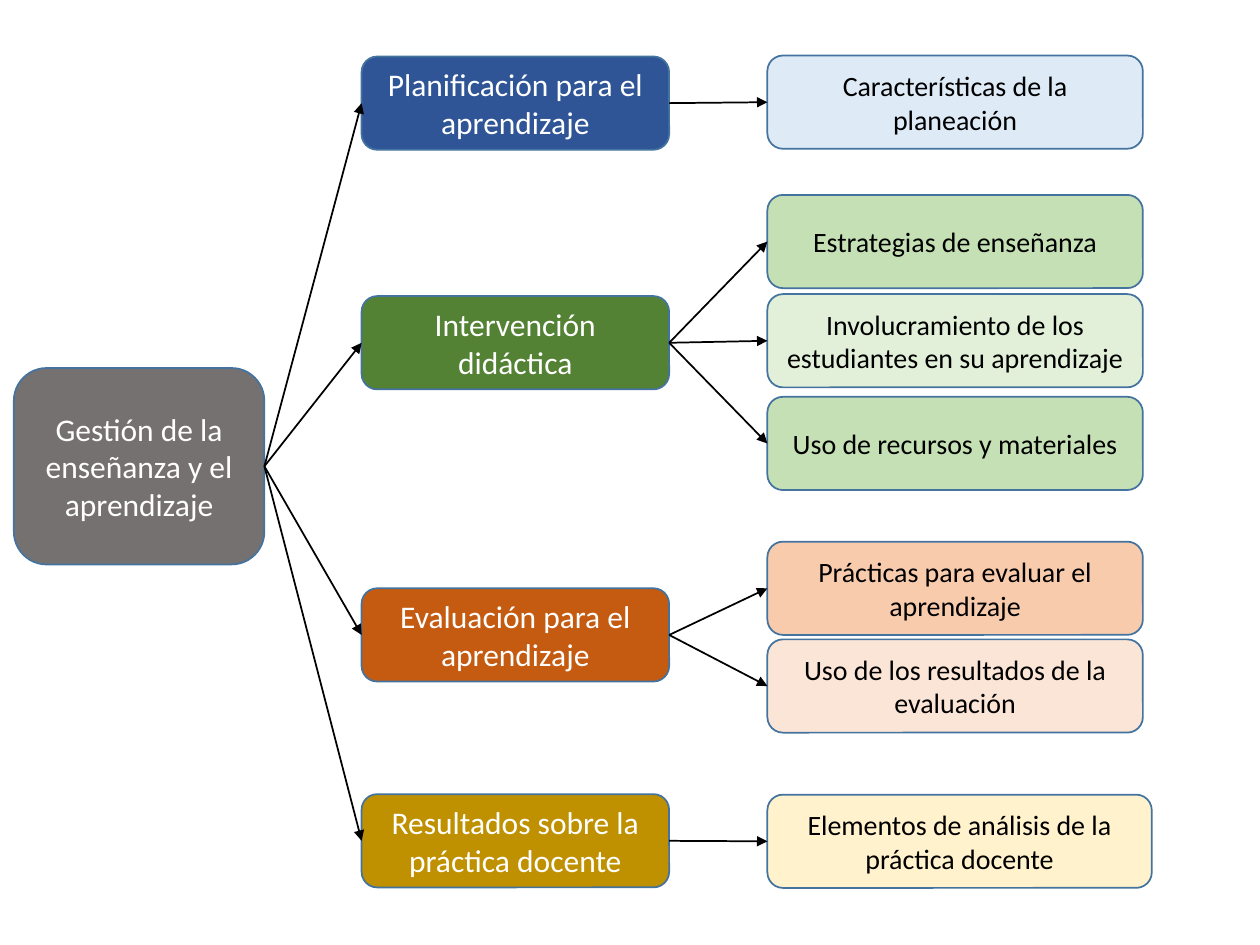
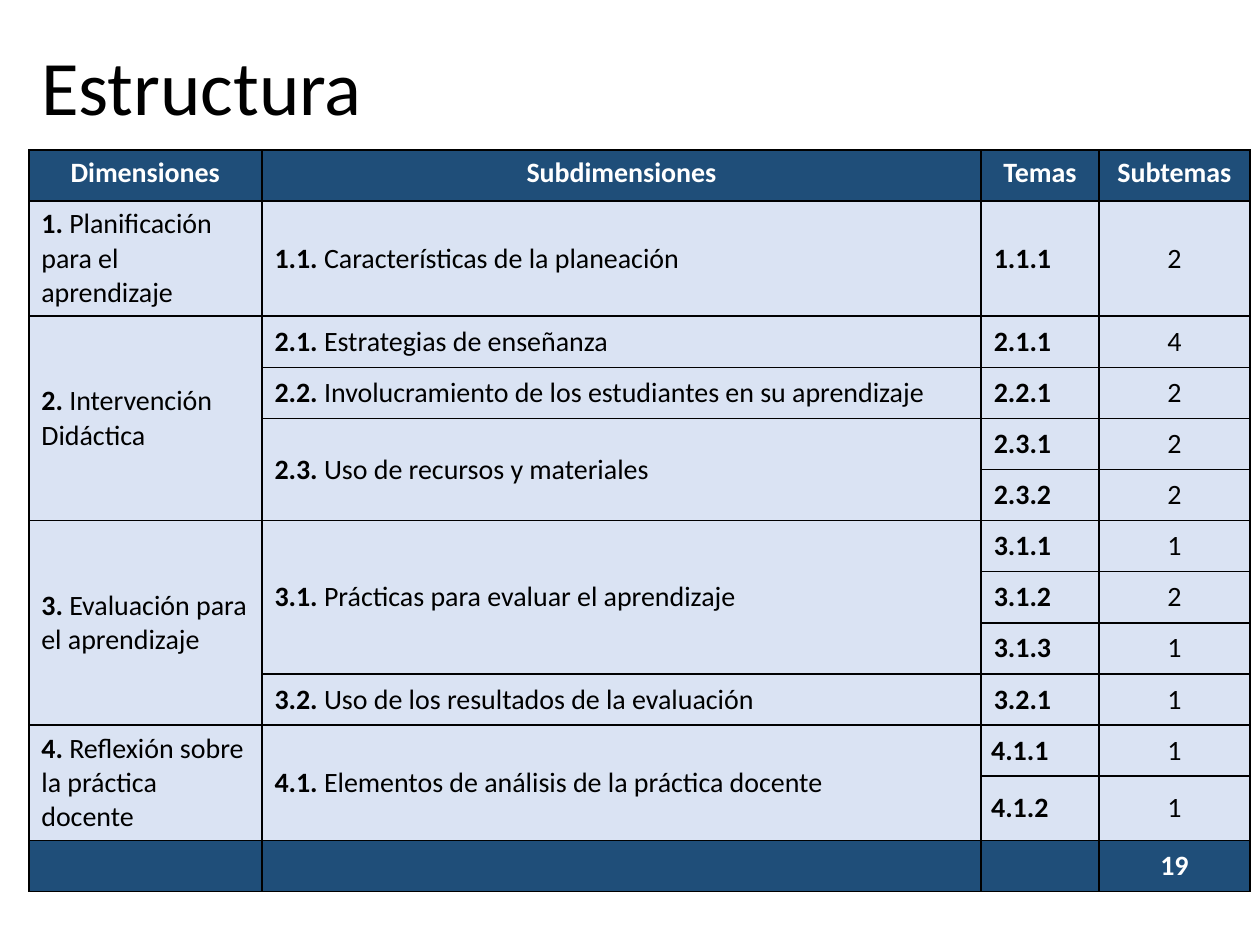
from dataclasses import dataclass

from lxml.etree import SubElement
from pptx import Presentation
from pptx.dml.color import RGBColor
from pptx.enum.shapes import MSO_CONNECTOR, MSO_SHAPE
from pptx.enum.text import MSO_ANCHOR, PP_ALIGN
from pptx.oxml import parse_xml
from pptx.oxml.ns import nsdecls, qn
from pptx.util import Cm, Pt


@dataclass(frozen=True)
class Theme:
    font: str = "Calibri"
    white: RGBColor = RGBColor(0xFF, 0xFF, 0xFF)
    black: RGBColor = RGBColor(0, 0, 0)
    outline: RGBColor = RGBColor(0x43, 0x73, 0x9E)
    root: RGBColor = RGBColor(0x76, 0x71, 0x71)
    header: RGBColor = RGBColor(0x1F, 0x4E, 0x79)
    body: RGBColor = RGBColor(0xDA, 0xE3, 0xF3)
    title_size: Pt = Pt(44)
    branch_size: Pt = Pt(18)
    text_size: Pt = Pt(16)
    line_width: Pt = Pt(1)


theme = Theme()
presentation = Presentation()
presentation.slide_width = Cm(25.4)
presentation.slide_height = Cm(19.05)
blank_layout = presentation.slide_layouts[6]


def add_box(slide, text, position, fill, size, color, parent=None):
    """Add a rounded box and, when it has a parent, the arrow leading to it."""
    box = slide.shapes.add_shape(MSO_SHAPE.ROUNDED_RECTANGLE, *map(Cm, position))
    box.shadow.inherit = False
    box.fill.solid()
    box.fill.fore_color.rgb = fill
    box.line.color.rgb = theme.outline
    box.line.width = theme.line_width
    box.text_frame.word_wrap = True
    box.text_frame.vertical_anchor = MSO_ANCHOR.MIDDLE
    paragraph = box.text_frame.paragraphs[0]
    paragraph.text = text
    paragraph.alignment = PP_ALIGN.CENTER
    paragraph.font.name = theme.font
    paragraph.font.size = size
    paragraph.font.color.rgb = color
    if parent is not None:
        arrow = slide.shapes.add_connector(MSO_CONNECTOR.STRAIGHT, 0, 0, 0, 0)
        arrow.begin_connect(parent, 3)
        arrow.end_connect(box, 1)
        arrow.line.color.rgb = theme.black
        arrow.line.width = theme.line_width
        SubElement(arrow.line._get_or_add_ln(), qn("a:tailEnd"), type="triangle")
        SubElement(arrow._element.spPr, qn("a:effectLst"))
    return box


def write_cell(cell, number, text="", alignment=PP_ALIGN.LEFT, bold=True, color=theme.black):
    """Write a number or label, optionally followed by plain text, in a cell."""
    paragraph = cell.text_frame.paragraphs[0]
    paragraph.alignment = alignment
    paragraph.font.name = theme.font
    paragraph.font.size = theme.text_size
    paragraph.font.color.rgb = color
    label = paragraph.add_run()
    label.text = f"{number} " if text else number
    label.font.bold = bold
    if text:
        description = paragraph.add_run()
        description.text = text
        description.font.bold = False


# Slide 1: tree of dimensions and subdimensions
slide = presentation.slides.add_slide(blank_layout)
box_height = 1.88
branch_left, branch_width = 7.29, 6.2
leaf_left, leaf_width, wide_leaf_width = 15.47, 7.57, 7.75

# Each branch: text, top, fill, and its leaves as (text, top, width, fill)
branches = [
    ("Planificación para el aprendizaje", 1.14, "2F5597", [
        ("Características de la planeación", 1.12, leaf_width, "DEEBF7")]),
    ("Intervención didáctica", 5.97, "548235", [
        ("Estrategias de enseñanza", 3.93, leaf_width, "C5E0B4"),
        ("Involucramiento de los estudiantes en su aprendizaje", 5.93, leaf_width, "E2F0D9"),
        ("Uso de recursos y materiales", 8, leaf_width, "C5E0B4")]),
    ("Evaluación para el aprendizaje", 11.86, "C55A11", [
        ("Prácticas para evaluar el aprendizaje", 10.92, leaf_width, "F8CBAD"),
        ("Uso de los resultados de la evaluación", 12.89, leaf_width, "FBE5D6")]),
    ("Resultados sobre la práctica docente", 16.01, "BF9000", [
        ("Elementos de análisis de la práctica docente", 16.02, wide_leaf_width, "FFF2CC")]),
]
root = add_box(slide, "Gestión de la enseñanza y el aprendizaje", (0.28, 7.42, 5.05, 3.96),
               theme.root, theme.branch_size, theme.white)
for text, top, fill, leaves in branches:
    branch = add_box(slide, text, (branch_left, top, branch_width, box_height),
                     RGBColor.from_string(fill), theme.branch_size, theme.white, root)
    for leaf_text, leaf_top, width, leaf_fill in leaves:
        add_box(slide, leaf_text, (leaf_left, leaf_top, width, box_height),
                RGBColor.from_string(leaf_fill), theme.text_size, theme.black, branch)

# Slide 2: table of dimensions, subdimensions, topics and subtopic counts
slide = presentation.slides.add_slide(blank_layout)
headings = ["Dimensiones", "Subdimensiones", "Temas", "Subtemas"]
column_widths = [4.7, 14.5, 2.37, 3.05]
dimensions = [
    ("Planificación para el aprendizaje", [
        ("Características de la planeación", [2])]),
    ("Intervención Didáctica", [
        ("Estrategias de enseñanza", [4]),
        ("Involucramiento de los estudiantes en su aprendizaje", [2]),
        ("Uso de recursos y materiales", [2, 2])]),
    ("Evaluación para el aprendizaje", [
        ("Prácticas para evaluar el aprendizaje", [1, 2, 1]),
        ("Uso de los resultados de la evaluación", [1])]),
    ("Reflexión sobre la práctica docente", [
        ("Elementos de análisis de la práctica docente", [1, 1])]),
]
counts = [count for _, subdimensions in dimensions
          for _, topics in subdimensions for count in topics]
row_heights = [1.03] * (len(counts) + 2)
row_heights[1] = 2.32
row_heights[-2] = 1.3
last_row = len(row_heights) - 1

table = slide.shapes.add_table(
    len(row_heights), len(headings), Cm(0.58), Cm(3.02),
    Cm(sum(column_widths)), Cm(sum(row_heights))).table
for column, width in zip(table.columns, column_widths):
    column.width = Cm(width)
for row, height in zip(table.rows, row_heights):
    row.height = Cm(height)

for row_index, row in enumerate(table.rows):
    for cell in row.cells:
        properties = cell._tc.get_or_add_tcPr()
        for side in ("lnL", "lnR", "lnT", "lnB"):
            properties.append(parse_xml(
                f'<a:{side} {nsdecls("a")} w="{theme.line_width}"><a:solidFill>'
                f'<a:srgbClr val="{theme.black}"/></a:solidFill></a:{side}>'))
        cell.fill.solid()
        cell.fill.fore_color.rgb = theme.header if row_index in (0, last_row) else theme.body
        cell.vertical_anchor = MSO_ANCHOR.TOP if row_index == 0 else MSO_ANCHOR.MIDDLE

for column_index, heading in enumerate(headings):
    write_cell(table.cell(0, column_index), heading, alignment=PP_ALIGN.CENTER, color=theme.white)

row_index = 1
for dimension_number, (dimension, subdimensions) in enumerate(dimensions, 1):
    dimension_row = row_index
    write_cell(table.cell(row_index, 0), f"{dimension_number}.", dimension)
    for subdimension_number, (subdimension, topics) in enumerate(subdimensions, 1):
        subdimension_row = row_index
        prefix = f"{dimension_number}.{subdimension_number}."
        write_cell(table.cell(row_index, 1), prefix, subdimension)
        for topic_number, count in enumerate(topics, 1):
            topic_cell = table.cell(row_index, 2)
            write_cell(topic_cell, f"{prefix}{topic_number}")
            if dimension_number == len(dimensions):
                topic_cell.margin_left = Cm(0.2)
            write_cell(table.cell(row_index, 3), str(count),
                       alignment=PP_ALIGN.CENTER, bold=False)
            row_index += 1
        if len(topics) > 1:
            table.cell(subdimension_row, 1).merge(table.cell(row_index - 1, 1))
    if row_index - dimension_row > 1:
        table.cell(dimension_row, 0).merge(table.cell(row_index - 1, 0))
write_cell(table.cell(last_row, 3), str(sum(counts)),
           alignment=PP_ALIGN.CENTER, color=theme.white)

title = slide.shapes.add_textbox(Cm(0.58), Cm(0), Cm(21.9), Cm(3.66))
title.text_frame.word_wrap = True
title.text_frame.vertical_anchor = MSO_ANCHOR.MIDDLE
paragraph = title.text_frame.paragraphs[0]
paragraph.text = "Estructura"
paragraph.line_spacing = 0.9
paragraph.font.name = theme.font
paragraph.font.size = theme.title_size
paragraph.font.color.rgb = theme.black

presentation.save("out.pptx")
